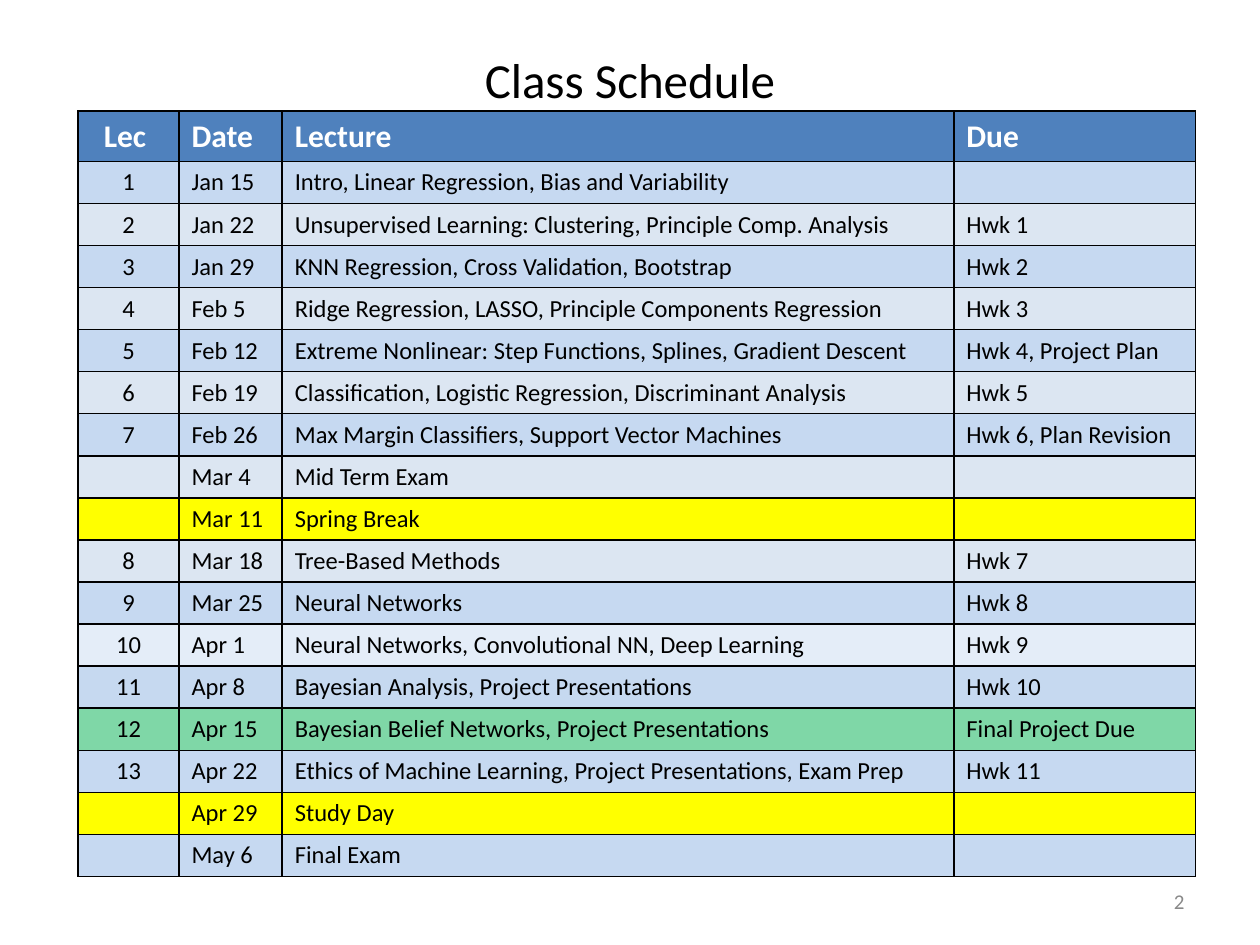
import pptx
import pptx.dml.color
import pptx.enum.text
import pptx.oxml
import pptx.oxml.ns
import pptx.util
from lxml import etree

Inches = pptx.util.Inches
Align = pptx.enum.text.PP_ALIGN
Anchor = pptx.enum.text.MSO_ANCHOR

TITLE = "Class Schedule"
PAGE_NUMBER = "2"
HEADINGS = ("Lec ", "Date", "Lecture", "Due")
# lecture number, date, topic, work due, row tone
SCHEDULE = [
    ("1", "Jan 15", "Intro, Linear Regression, Bias and Variability", "", "blue"),
    ("2", "Jan 22", "Unsupervised Learning: Clustering, Principle Comp. Analysis", "Hwk 1", "pale"),
    ("3", "Jan 29", "KNN Regression, Cross Validation, Bootstrap", "Hwk 2", "blue"),
    ("4", "Feb 5", "Ridge Regression, LASSO, Principle Components Regression", "Hwk 3", "pale"),
    ("5", "Feb 12", "Extreme Nonlinear: Step Functions, Splines, Gradient Descent", "Hwk 4, Project Plan", "blue"),
    ("6", "Feb 19", "Classification, Logistic Regression, Discriminant Analysis", "Hwk 5", "pale"),
    ("7", "Feb 26", "Max Margin Classifiers, Support Vector Machines", "Hwk 6, Plan Revision", "blue"),
    ("", "Mar 4", "Mid Term Exam", "", "pale"),
    ("", "Mar 11", "Spring Break", "", "no_class"),
    ("8", "Mar 18", "Tree-Based Methods", "Hwk 7", "pale"),
    ("9", "Mar 25", "Neural Networks", "Hwk 8", "blue"),
    ("10", "Apr 1", "Neural Networks, Convolutional NN, Deep Learning", "Hwk 9", "faint"),
    ("11", "Apr 8", "Bayesian Analysis, Project Presentations", "Hwk 10", "medium"),
    ("12", "Apr 15", "Bayesian Belief Networks, Project Presentations", "Final Project Due", "deadline"),
    ("13", "Apr 22", "Ethics of Machine Learning, Project Presentations, Exam Prep", "Hwk 11", "blue"),
    ("", "Apr 29", "Study Day", "", "no_class"),
    ("", "May 6", "Final Exam", "", "blue"),
]

THEME = {
    "font": "Calibri",
    "sizes": {"title": 28, "heading": 18, "body": 14, "page": 12},
    "colors": {"text": "000000", "heading": "FFFFFF", "page": "898989", "border": "000000"},
    # fill colour and opacity in percent
    "tones": {
        "heading": ("4F81BD", 100),
        "blue": ("C6D9F1", 100),
        "pale": ("DCE6F2", 100),
        "no_class": ("FFFF00", 100),
        "faint": ("C6D9F1", 46),
        "medium": ("8EB4E3", 50),
        "deadline": ("00B050", 50),
    },
}
COLUMN_WIDTHS = (0.8, 0.82, 5.33, 1.92)
HEADING_HEIGHT, ROW_HEIGHT = 0.4, 0.33
TABLE_LEFT, TABLE_TOP = 0.62, 0.88


def write(frame, text, size="body", color="text", align=Align.LEFT, bold=False):
    """Fill a text frame; an empty one still gets its size, which sets row height."""
    paragraph = frame.paragraphs[0]
    paragraph.alignment = align
    points = THEME["sizes"][size]
    if not text:
        end = etree.SubElement(paragraph._p, pptx.oxml.ns.qn("a:endParaRPr"))
        end.set("sz", str(points * 100))
        return
    run = paragraph.add_run()
    run.text = text
    run.font.name = THEME["font"]
    run.font.size = pptx.util.Pt(points)
    run.font.bold = bold
    run.font.color.rgb = pptx.dml.color.RGBColor.from_string(THEME["colors"][color])


def add_text(slide, box, text, **text_format):
    frame = slide.shapes.add_textbox(*map(Inches, box)).text_frame
    frame.word_wrap = True
    frame.vertical_anchor = Anchor.MIDDLE
    write(frame, text, **text_format)


def add_borders(cell):
    properties = cell._tc.get_or_add_tcPr()
    for side in ("lnL", "lnR", "lnT", "lnB"):
        properties.append(pptx.oxml.parse_xml(
            f'<a:{side} {pptx.oxml.ns.nsdecls("a")} w="12700"><a:solidFill>'
            f'<a:srgbClr val="{THEME["colors"]["border"]}"/></a:solidFill></a:{side}>'))


def fill_cell(cell, tone):
    color, opacity = THEME["tones"][tone]
    cell.fill.solid()
    cell.fill.fore_color.rgb = pptx.dml.color.RGBColor.from_string(color)
    if opacity < 100:
        swatch = cell._tc.tcPr.find(
            f'{pptx.oxml.ns.qn("a:solidFill")}/{pptx.oxml.ns.qn("a:srgbClr")}')
        etree.SubElement(swatch, pptx.oxml.ns.qn("a:alpha")).set("val", str(opacity * 1000))


def add_schedule(slide):
    rows = [(*HEADINGS, "heading"), *SCHEDULE]
    heights = [HEADING_HEIGHT] + [ROW_HEIGHT] * len(SCHEDULE)
    table = slide.shapes.add_table(
        len(rows), len(HEADINGS), Inches(TABLE_LEFT), Inches(TABLE_TOP),
        Inches(sum(COLUMN_WIDTHS)), Inches(sum(heights))).table
    for column, width in zip(table.columns, COLUMN_WIDTHS):
        column.width = Inches(width)
    for table_row, height, (*texts, tone) in zip(table.rows, heights, rows):
        table_row.height = Inches(height)
        is_heading = tone == "heading"
        for index, (cell, text) in enumerate(zip(table_row.cells, texts)):
            add_borders(cell)
            fill_cell(cell, tone)
            write(cell.text_frame, text,
                  size="heading" if is_heading else "body",
                  color="heading" if is_heading else "text",
                  align=Align.CENTER if index == 0 else Align.LEFT,
                  bold=is_heading)


def main():
    deck = pptx.Presentation()
    deck.slide_width, deck.slide_height = Inches(10), Inches(7.5)
    slide = deck.slides.add_slide(deck.slide_layouts[6])
    add_text(slide, (0.5, 0, 9, 1.25), TITLE, size="title", align=Align.CENTER)
    add_text(slide, (7.17, 6.95, 2.33, 0.4), PAGE_NUMBER,
             size="page", color="page", align=Align.RIGHT)
    add_schedule(slide)
    deck.save("out.pptx")


if __name__ == "__main__":
    main()
